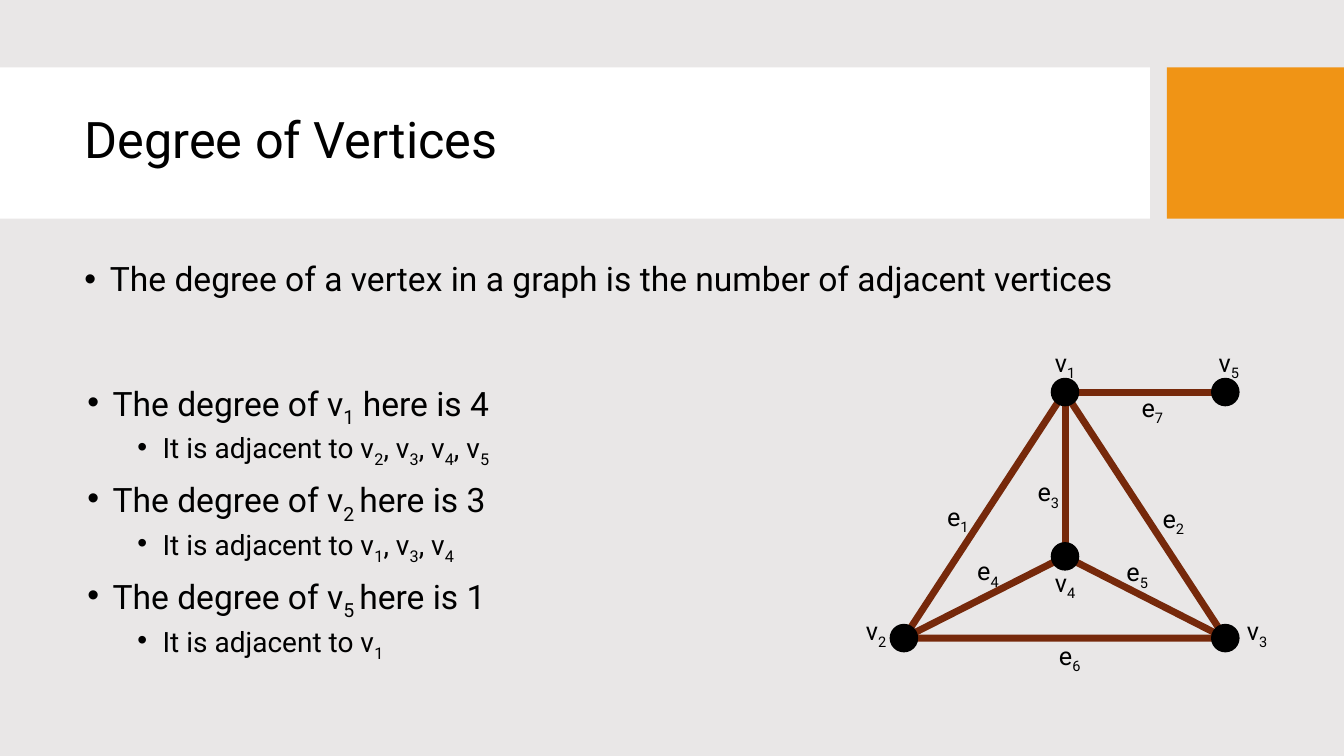
from lxml import etree
from pptx import Presentation
from pptx.dml.color import RGBColor
from pptx.enum.shapes import MSO_CONNECTOR, MSO_SHAPE
from pptx.enum.text import MSO_ANCHOR, MSO_AUTO_SIZE, PP_ALIGN
from pptx.oxml.ns import qn
from pptx.util import Cm, Pt

STRAIGHT = MSO_CONNECTOR.STRAIGHT
RECTANGLE, TRIANGLE, OVAL = MSO_SHAPE.RECTANGLE, MSO_SHAPE.ISOSCELES_TRIANGLE, MSO_SHAPE.OVAL
MIDDLE = MSO_ANCHOR.MIDDLE
CENTER = PP_ALIGN.CENTER
NO_AUTOFIT = MSO_AUTO_SIZE.NONE

FONT = "Roboto"
COLORS = {"background": "E9E7E7", "band": "FFFFFF", "accent": "F09415",
          "edge": "76290B", "vertex": "000000", "text": "000000"}
EDGE_WIDTH = Pt(5)
DOT = 0.72
LABEL_WIDTH, LABEL_HEIGHT = 1.08, 1.02

# Lengths in cm; text between tildes is subscript.
LEAD = [(0, "The degree of a vertex in a graph is the number of adjacent vertices")]
DEGREES = [
    (0, "The degree of v~1~ here is 4"),
    (1, "It is adjacent to v~2~, v~3~, v~4~, v~5~"),
    (0, "The degree of v~2 ~here is 3"),
    (1, "It is adjacent to v~1~, v~3~, v~4~"),
    (0, "The degree of v~5 ~here is 1"),
    (1, "It is adjacent to v~1~"),
]
# level: (text size, left margin, space before)
LEVELS = {0: (24, 0.64, 10), 1: (20, 1.9, 5)}

# vertex: (position in the graph box, label offset from the vertex)
VERTICES = {
    1: ((5.28, 1.24), (0, -0.74)),
    4: ((5.28, 5.38), (0, 0.66)),
    2: ((1.22, 7.44), (-0.7, -0.18)),
    3: ((9.32, 7.44), (0.8, -0.18)),
    5: ((9.32, 1.24), (0.09, -0.74)),
}
# edge: (start vertex, end vertex, label offset from the edge's middle)
EDGES = {
    1: (1, 2, (-0.67, 0.04)),
    2: (1, 3, (0.71, 0.08)),
    3: (1, 4, (-0.42, 0.45)),
    4: (2, 4, (0.09, -0.66)),
    5: (4, 3, (-0.2, -0.64)),
    6: (2, 3, (0.13, 0.44)),
    7: (1, 5, (0.18, 0.39)),
}
OUTLINE_EDGES = {1, 2, 6}


def color(name):
    return RGBColor.from_string(COLORS[name])


def add_filled(page, kind, left, top, width, height, fill):
    shape = page.shapes.add_shape(kind, Cm(left), Cm(top), Cm(width), Cm(height))
    shape.shadow.inherit = False
    shape.fill.solid()
    shape.fill.fore_color.rgb = color(fill)
    shape.line.fill.background()


def write(para, text, size):
    """Fill a paragraph, setting the parts between tildes as subscript."""
    for index, part in enumerate(text.split("~")):
        if not part:
            continue
        span = para.add_run()
        span.text = part
        span.font.name = FONT
        span.font.size = Pt(size)
        span.font.color.rgb = color("text")
        if index % 2:
            span._r.get_or_add_rPr().set("baseline", "-25000")


def add_text_box(page, left, top, width, height, wrap=True):
    box = page.shapes.add_textbox(Cm(left), Cm(top), Cm(width), Cm(height))
    box.text_frame.word_wrap = wrap
    box.text_frame.auto_size = NO_AUTOFIT
    return box.text_frame


def add_heading(page, top, height):
    add_filled(page, RECTANGLE, 0, top, 28.98, height, "band")
    add_filled(page, RECTANGLE, 29.41, top, 4.46, height, "accent")
    frame = add_text_box(page, 1.88, top + 0.38, 26.7, 3)
    frame.vertical_anchor = MIDDLE
    para = frame.paragraphs[0]
    para.line_spacing = 0.9
    write(para, "Degree of Vertices", 36)


def add_bullets(page, items, left, top, width, height):
    frame = add_text_box(page, left, top, width, height)
    for index, (level, text) in enumerate(items):
        para = frame.add_paragraph() if index else frame.paragraphs[0]
        size, margin, space = LEVELS[level]
        para.level = level
        properties = para._p.get_or_add_pPr()
        properties.set("marL", str(Cm(margin)))
        properties.set("indent", str(-Cm(0.64)))
        etree.SubElement(properties, qn("a:buFont")).set("typeface", "Arial")
        etree.SubElement(properties, qn("a:buChar")).set("char", "•")
        para.line_spacing = 0.9
        para.space_before = Pt(space if index else 0)
        write(para, text, size)


def add_label(page, letter, number, x, y):
    """Write a subscripted name centred on the point."""
    frame = add_text_box(page, x - LABEL_WIDTH / 2, y - LABEL_HEIGHT / 2,
                         LABEL_WIDTH, LABEL_HEIGHT, wrap=False)
    frame.paragraphs[0].alignment = CENTER
    write(frame.paragraphs[0], f"{letter}~{number}~", 18)


def add_edge(page, start, end):
    edge = page.shapes.add_connector(STRAIGHT, *(Cm(value) for value in start + end))
    edge.line.color.rgb = color("edge")
    edge.line.width = EDGE_WIDTH
    etree.SubElement(edge._element.spPr, qn("a:effectLst"))


def add_outline(page, apex, lower_left, lower_right):
    outline = page.shapes.add_shape(
        TRIANGLE, Cm(lower_left[0]), Cm(apex[1]),
        Cm(lower_right[0] - lower_left[0]), Cm(lower_left[1] - apex[1]))
    outline.shadow.inherit = False
    outline.fill.background()
    outline.line.color.rgb = color("edge")
    outline.line.width = EDGE_WIDTH


def add_graph(page, left, top):
    points = {number: (left + x, top + y) for number, ((x, y), _) in VERTICES.items()}
    add_outline(page, points[1], points[2], points[3])
    for number, (start, end, _) in EDGES.items():
        if number not in OUTLINE_EDGES:
            add_edge(page, points[start], points[end])
    for x, y in points.values():
        add_filled(page, OVAL, x - DOT / 2, y - DOT / 2, DOT, DOT, "vertex")
    for number, (_, (dx, dy)) in VERTICES.items():
        x, y = points[number]
        add_label(page, "v", number, x + dx, y + dy)
    for number, (start, end, (dx, dy)) in EDGES.items():
        (x1, y1), (x2, y2) = points[start], points[end]
        add_label(page, "e", number, (x1 + x2) / 2 + dx, (y1 + y2) / 2 + dy)


def main():
    deck = Presentation()
    deck.slide_width, deck.slide_height = Cm(33.87), Cm(19.05)
    page = deck.slides.add_slide(deck.slide_layouts[6])
    page.background.fill.solid()
    page.background.fill.fore_color.rgb = color("background")
    add_heading(page, 1.7, 3.81)
    add_bullets(page, LEAD, 1.88, 6.5, 26.7, 2.54)
    add_graph(page, 21.56, 8.64)
    add_bullets(page, DEGREES, 1.95, 9.53, 26.7, 8.38)
    deck.save("out.pptx")


if __name__ == "__main__":
    main()
